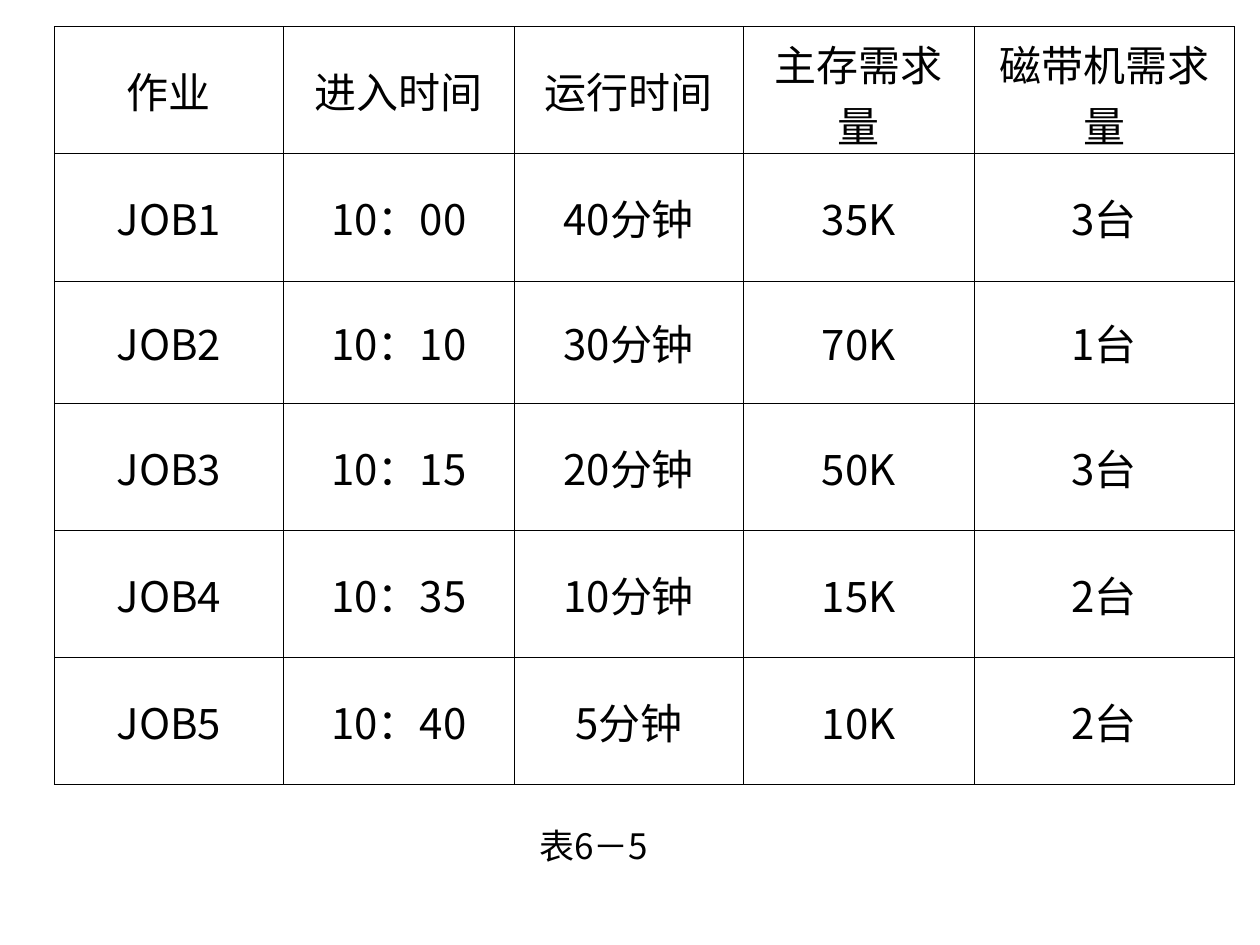
from lxml.etree import SubElement
from pptx import Presentation
from pptx.dml.color import RGBColor
from pptx.enum.text import MSO_ANCHOR, PP_ALIGN
from pptx.oxml.ns import qn
from pptx.util import Inches, Pt

BLACK = RGBColor(0, 0, 0)
FACE = "Noto Sans CJK SC"
EDGE = Pt(0.45)

# Job table: column widths and row heights in inches
COLS = [1.82, 1.83, 1.82, 1.83, 2.07]
ROWS = [1.01, 1.01, 0.97, 1.01, 1.01, 1.01]
HEAD = ["作业", "进入时间", "运行时间", "主存需求量", "磁带机需求量"]
JOBS = [
    ("10：00", 40, 35, 3),
    ("10：10", 30, 70, 1),
    ("10：15", 20, 50, 3),
    ("10：35", 10, 15, 2),
    ("10：40", 5, 10, 2),
]


def write(frame, text, size, align):
    """Put one line of styled text into a frame."""
    para = frame.paragraphs[0]
    para.alignment = align
    run = para.add_run()
    run.text = text
    style = {"name": FACE, "size": Pt(size), "bold": False}
    for key, value in style.items():
        setattr(run.font, key, value)
    run.font.color.rgb = BLACK
    SubElement(run.font._element, qn("a:ea"), typeface=FACE)


def frame_cell(cell):
    """Draw thin black borders, then clear the fill."""
    props = cell._tc.get_or_add_tcPr()
    for side in ("lnL", "lnR", "lnT", "lnB"):
        line = SubElement(props, qn("a:" + side), w=str(int(EDGE)))
        fill = SubElement(line, qn("a:solidFill"))
        SubElement(fill, qn("a:srgbClr"), val=str(BLACK))
    cell.fill.background()


def add_jobs(slide, left, top):
    """Table of jobs with a header row."""
    data = [HEAD] + [
        [f"JOB{num}", start, f"{mins}分钟", f"{mem}K", f"{tapes}台"]
        for num, (start, mins, mem, tapes) in enumerate(JOBS, 1)
    ]
    table = slide.shapes.add_table(
        len(ROWS), len(COLS), Inches(left), Inches(top),
        Inches(sum(COLS)), Inches(sum(ROWS))).table
    table.first_row = table.horz_banding = False
    for col, width in zip(table.columns, COLS):
        col.width = Inches(width)
    for row, height, texts in zip(table.rows, ROWS, data):
        row.height = Inches(height)
        for cell, text in zip(row.cells, texts):
            cell.vertical_anchor = MSO_ANCHOR.MIDDLE
            write(cell.text_frame, text, 24, PP_ALIGN.CENTER)
            frame_cell(cell)


def add_label(slide, left, top, width, height):
    """Caption under the table."""
    box = slide.shapes.add_textbox(*map(Inches, (left, top, width, height)))
    frame = box.text_frame
    frame.word_wrap = True
    frame.vertical_anchor = MSO_ANCHOR.MIDDLE
    write(frame, "表6－5", 20, PP_ALIGN.LEFT)


def main():
    deck = Presentation()
    deck.slide_width, deck.slide_height = Inches(10), Inches(7.5)
    slide = deck.slides.add_slide(deck.slide_layouts[6])
    add_label(slide, 4.18, 6.49, 1.33, 0.44)
    add_jobs(slide, 0.43, 0.21)
    deck.save("out.pptx")


if __name__ == "__main__":
    main()
